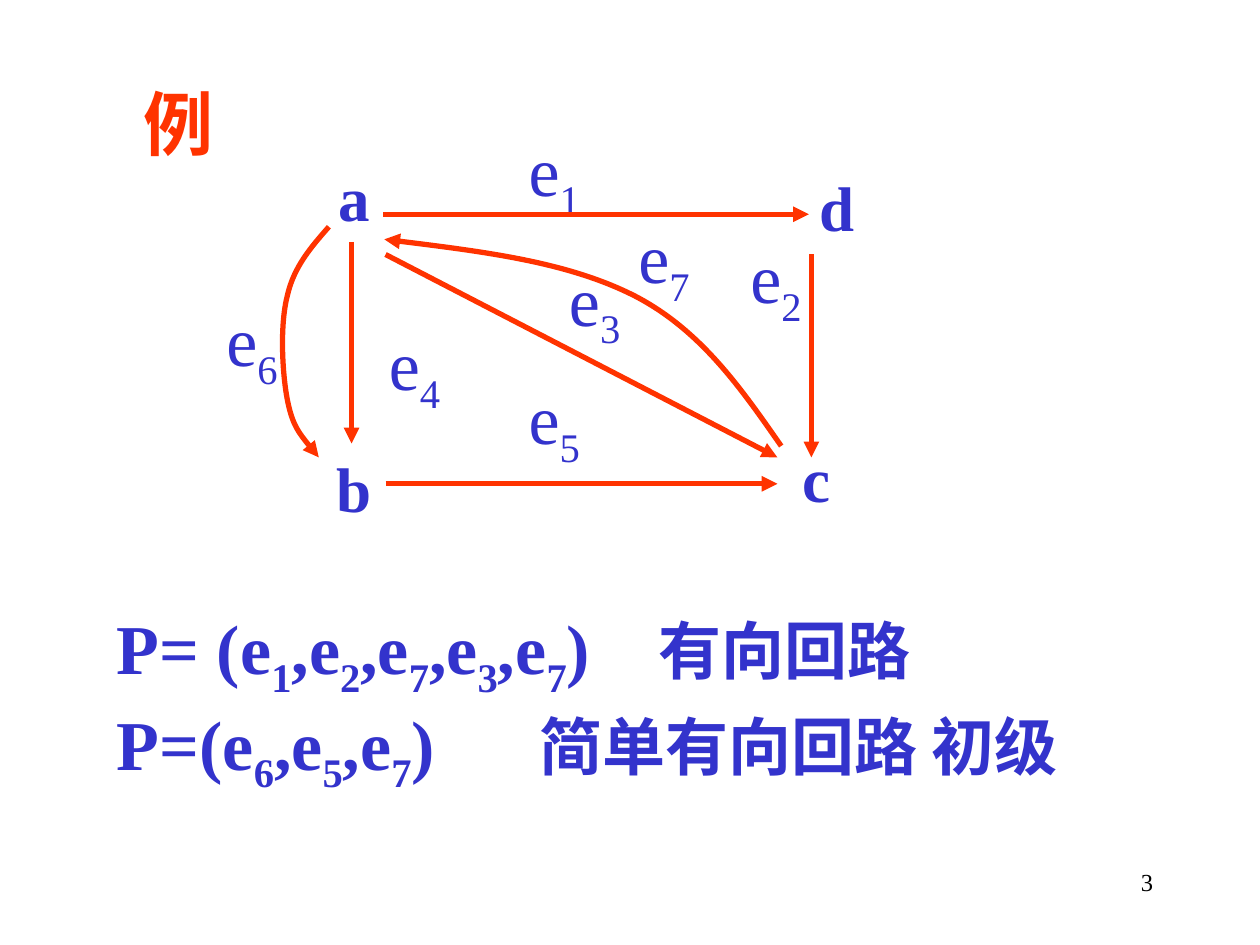
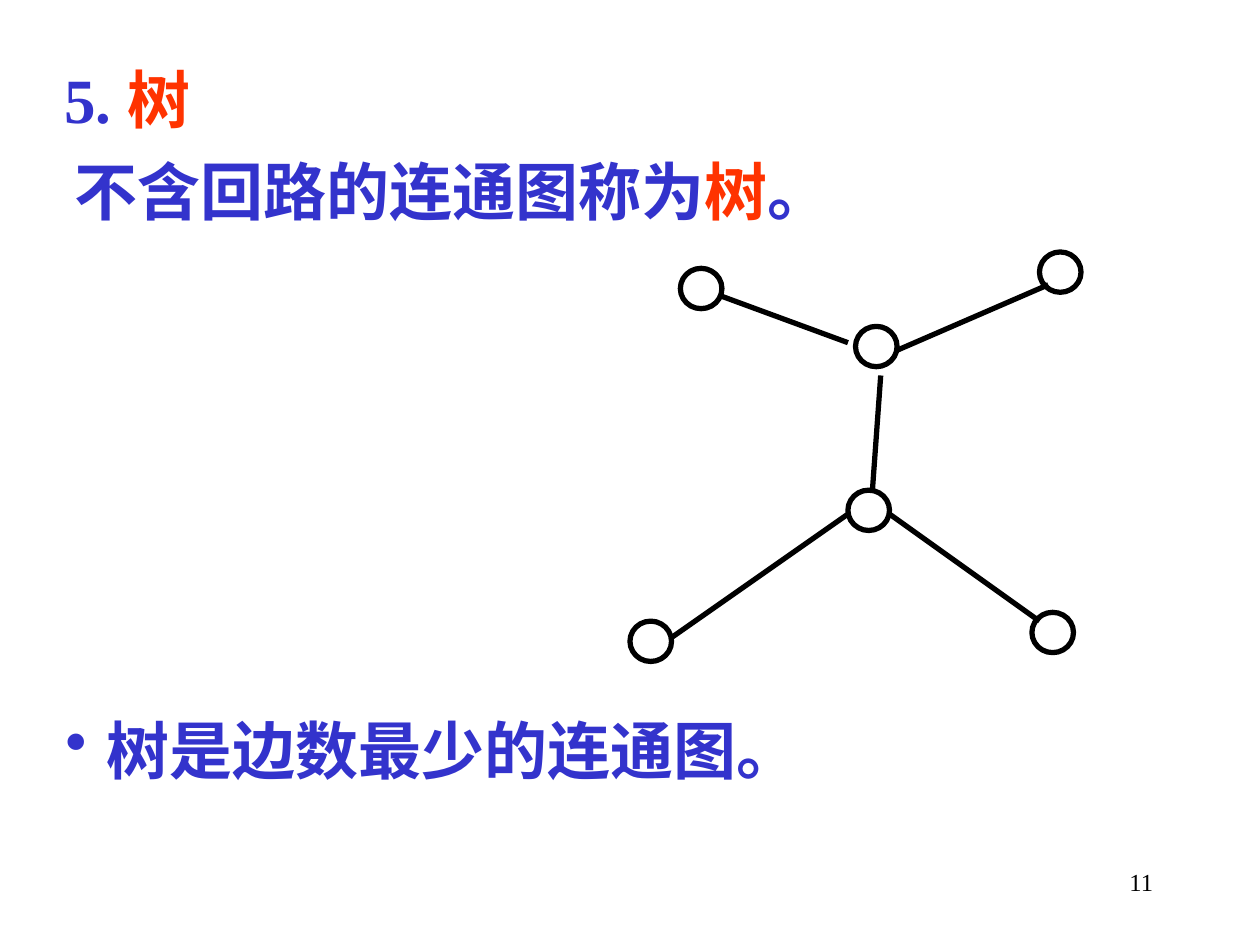
from itertools import groupby

from lxml.etree import SubElement
from pptx import Presentation
from pptx.dml.color import RGBColor
from pptx.enum.shapes import MSO_CONNECTOR as CONN, MSO_SHAPE as SHAPE
from pptx.enum.text import MSO_ANCHOR as ANCHOR, MSO_AUTO_SIZE as FIT, PP_ALIGN as ALIGN
from pptx.oxml.ns import qn
from pptx.util import Inches, Pt

BLUE = RGBColor(0x33, 0x33, 0xCC)
RED = RGBColor(0xFF, 0x33, 0x00)
BLACK = RGBColor(0, 0, 0)
WHITE = RGBColor(0xFF, 0xFF, 0xFF)
LATIN, CJK = "Times New Roman", "Noto Sans CJK SC"
LABEL_SIZE = (0.56, 0.43)
DOT_SIZE = (0.33, 0.32)


def inches(*values):
    """Convert several lengths to EMU."""
    return [Inches(v) for v in values]


def add_run(p, text, size=36, color=BLUE, bold=True):
    """Append a run in the deck's Latin and Chinese fonts."""
    r = p.add_run()
    r.text = text
    f = r.font
    f.name, f.size, f.bold = LATIN, Pt(size), bold
    f.color.rgb = color
    SubElement(r._r.rPr, qn("a:ea"), typeface=CJK)
    return r


def add_formula(p, text, bold=False):
    """Append text whose digits are subscripts."""
    for is_index, chars in groupby(text, str.isdigit):
        r = add_run(p, "".join(chars), 40, bold=bold)
        if is_index:
            r._r.rPr.set("baseline", "-25000")


def add_text(s, *box):
    """Add a wrapping text box and return its frame."""
    tf = s.shapes.add_textbox(*inches(*box)).text_frame
    tf.word_wrap = True
    return tf


def add_slide(prs, number, box, align, title_runs, size):
    """Add a slide with a formatted title and a page number."""
    s = prs.slides.add_slide(prs.slide_layouts[5])
    title = s.shapes.title
    title.left, title.top, title.width, title.height = inches(*box)
    tf = title.text_frame
    tf.auto_size, tf.vertical_anchor = FIT.NONE, ANCHOR.TOP
    p = tf.paragraphs[0]
    p.alignment = align
    for text, color in title_runs:
        add_run(p, text, size, color)
    p = add_text(s, 7.17, 6.83, 2.08, 0.5).paragraphs[0]
    p.alignment = ALIGN.RIGHT
    add_run(p, str(number), 14, BLACK, False)
    return s


def add_oval(s, x, y, size, line=None, fill=None):
    """Add an oval with an optional outline and fill."""
    sp = s.shapes.add_shape(SHAPE.OVAL, *inches(x, y, *size))
    sp.shadow.inherit = False
    if fill is None:
        sp.fill.background()
    else:
        sp.fill.solid()
        sp.fill.fore_color.rgb = fill
    if line is None:
        sp.line.fill.background()
    else:
        set_line(sp, line)
    return sp


def add_label(s, x, y, text, is_vertex=False):
    """Add a centred vertex name or edge name."""
    tf = add_oval(s, x, y, LABEL_SIZE).text_frame
    tf.word_wrap, tf.vertical_anchor = False, ANCHOR.MIDDLE
    p = tf.paragraphs[0]
    p.alignment = ALIGN.CENTER
    if is_vertex:
        add_run(p, text)
    else:
        add_formula(p, text)


def set_line(sp, color, arrow=False):
    """Give a shape a thick line, with an arrowhead if asked."""
    sp.line.color.rgb = color
    sp.line.width = Pt(3)
    if arrow:
        SubElement(sp._element.spPr.find(qn("a:ln")), qn("a:tailEnd"), type="triangle")


def add_edge(s, start, end, color, arrow=False):
    """Draw a straight edge."""
    edge = s.shapes.add_connector(CONN.STRAIGHT, *inches(*start, *end))
    set_line(edge, color, arrow)
    SubElement(edge._element.spPr, qn("a:effectLst"))


def add_curved_edge(s, start, *points):
    """Draw an arrow through cubic curves, three points to each curve."""
    builder = s.shapes.build_freeform(*inches(*start))
    builder.add_line_segments([inches(*pt) for pt in points], close=False)
    sp = builder.convert_to_shape()
    sp.shadow.inherit = False
    sp.fill.background()
    set_line(sp, RED, True)
    steps = list(sp._element.iter(qn("a:lnTo")))
    for i in range(0, len(steps), 3):
        curve = SubElement(steps[i].getparent(), qn("a:cubicBezTo"))
        for step in steps[i:i + 3]:
            curve.append(step[0])
            step.getparent().remove(step)


def add_tab_stop(p, position):
    """Set one left tab stop in a paragraph."""
    tabs = SubElement(p._p.get_or_add_pPr(), qn("a:tabLst"))
    SubElement(tabs, qn("a:tab"), pos=str(Inches(position)), algn="l")


def build_circuit_slide(prs):
    """Build the directed circuit example."""
    s = add_slide(prs, 3, (0.92, 0.59, 1, 0.77), ALIGN.CENTER, [("例", RED)], 40)
    for name, x, y in [("a", 2.53, 1.34), ("d", 6.36, 1.42),
                       ("b", 2.53, 3.65), ("c", 6.2, 3.57)]:
        add_label(s, x, y, name, True)
    edge_names = [(4.12, 1.17), (5.88, 2.02), (4.44, 2.2), (3.01, 2.71),
                  (4.12, 3.14), (1.72, 2.52), (4.99, 1.86)]
    for i, (x, y) in enumerate(edge_names, 1):
        add_label(s, x, y, f"e{i}")
    for start, end in [((3.04, 1.7), (6.42, 1.7)), ((6.44, 2.02), (6.44, 3.63)),
                       ((2.79, 1.92), (2.79, 3.52)), ((3.06, 3.84), (6.17, 3.84)),
                       ((3.06, 2.02), (6.17, 3.63))]:
        add_edge(s, start, end, RED, True)
    add_curved_edge(s, (2.61, 1.8), (2.47, 1.96), (2.33, 2.12), (2.28, 2.35),
                    (2.22, 2.58), (2.24, 2.96), (2.28, 3.17),
                    (2.32, 3.38), (2.42, 3.5), (2.53, 3.63))
    add_curved_edge(s, (6.2, 3.54), (5.88, 3.08), (5.56, 2.62), (5.04, 2.35),
                    (4.51, 2.08), (3.78, 1.99), (3.05, 1.9))
    tf = add_text(s, 0.83, 4.75, 8.5, 1.92)
    circuits = [("P= (e1,e2,e7,e3,e7)", 4.3, "有向回路"),
                ("P=(e6,e5,e7)", 3.35, "简单有向回路 初级")]
    for i, (formula, tab, kind) in enumerate(circuits):
        p = tf.add_paragraph() if i else tf.paragraphs[0]
        add_tab_stop(p, tab)
        add_formula(p, formula, True)
        add_run(p, "\t" + kind)


def build_tree_slide(prs):
    """Build the definition of a tree with its drawing."""
    s = add_slide(prs, 11, (0.41, 0.43, 9, 0.75), ALIGN.LEFT,
                  [("5. ", BLUE), ("树", RED)], 36)
    p = add_text(s, 0.49, 1.16, 9, 0.75).paragraphs[0]
    for text, color in [("不含回路的连通图称为", BLUE), ("树", RED), ("。", BLUE)]:
        add_run(p, text, color=color)
    for x, y in [(6.79, 2.59), (8.25, 2), (5, 4.93), (8.19, 4.86)]:
        add_oval(s, x, y, DOT_SIZE, BLACK)
    for start, end in [((5.67, 2.33), (6.73, 2.72)), ((7.12, 2.78), (8.32, 2.26)),
                       ((6.99, 2.98), (6.92, 3.95)), ((6.73, 4.08), (5.33, 5.06)),
                       ((7.06, 4.08), (8.25, 4.93))]:
        add_edge(s, start, end, BLACK)
    for x, y in [(5.4, 2.13), (6.73, 3.89)]:
        add_oval(s, x, y, DOT_SIZE, BLACK, WHITE)
    p = add_text(s, 0.42, 5.6, 8.75, 0.75).paragraphs[0]
    pPr = p._p.get_or_add_pPr()
    indent = Inches(0.33)
    pPr.set("marL", str(indent))
    pPr.set("indent", str(-indent))
    SubElement(pPr, qn("a:buChar"), char="•")
    add_run(p, "树是边数最少的连通图。")


def main():
    """Build and save the deck."""
    prs = Presentation()
    prs.slide_width, prs.slide_height = inches(10, 7.5)
    build_circuit_slide(prs)
    build_tree_slide(prs)
    prs.save("out.pptx")


if __name__ == "__main__":
    main()
